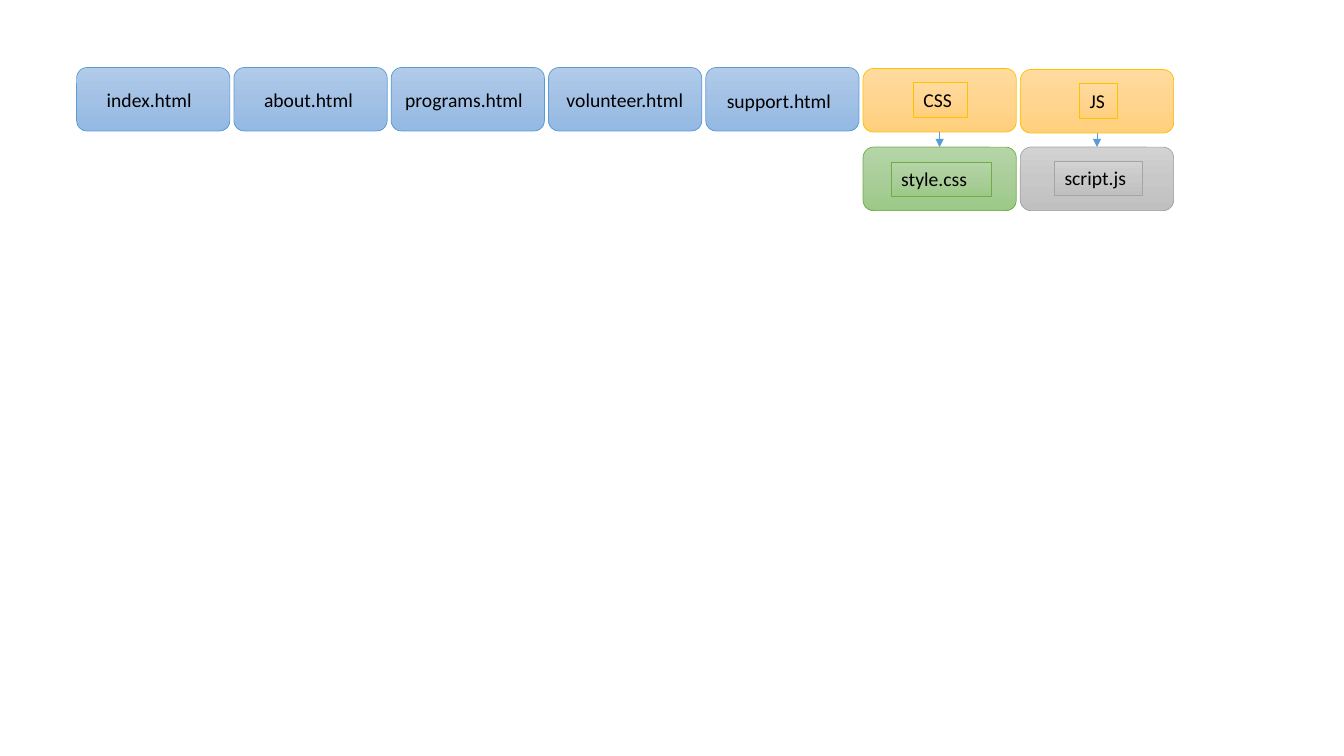
import copy

import pptx
import pptx.dml.color
import pptx.enum.shapes
import pptx.enum.text
import pptx.oxml
import pptx.oxml.ns
import pptx.util
from pptx.util import Inches

COLORS = {
    "text": "000000",
    "arrow": "5B9BD5",
    "blue": ("B1CBE9", "A3C1E5", "93B9E4", "5B9BD5"),
    "gold": ("FFDB9E", "FFD590", "FFD07C", "FFC000"),
    "green": ("B5D5A7", "AACE9A", "9CC987", "70AD47"),
    "gray": ("D2D2D2", "C8C8C8", "C0C0C0", "A5A5A5"),
}
SHAPES = pptx.enum.shapes.MSO_SHAPE
FIRST_LEFT, PITCH = 0.76, 1.56
TILE_WIDTH, TILE_HEIGHT, LABEL_HEIGHT = 1.52, 0.63, 0.34
LOWER_TOP = 1.46

PAGES = [
    ("index.html", 0.96, 0.82, 1.07),
    ("about.html", 2.52, 0.82, 1.11),
    ("programs.html", 3.92, 0.82, 1.45),
    ("volunteer.html", 5.52, 0.82, 1.52),
    ("support.html", 7.11, 0.83, 1.42),
]
ASSETS = [
    (5, 0.68, "gold", ("CSS", 9.06, 0.82, 0.54)),
    (6, 0.69, "gold", ("JS", 10.71, 0.83, 0.37)),
    (5, LOWER_TOP, "green", ("style.css", 8.84, 1.61, 0.99)),
    (6, LOWER_TOP, "gray", ("script.js", 10.46, 1.6, 0.87)),
]


def rgb(value):
    return pptx.dml.color.RGBColor.from_string(value)


def apply(target, values):
    for name, value in values.items():
        setattr(target, name, value)


def tile_left(column):
    return FIRST_LEFT + PITCH * column


def add_shaded(canvas, kind, left, top, width, height, theme):
    shape = canvas.add_shape(kind, *map(Inches, (left, top, width, height)))
    shape.shadow.inherit = False
    *shades, outline = COLORS[theme]
    shape.fill.gradient()
    shape.fill.gradient_angle = 270
    first_stop = shape.element.spPr.find(".//" + pptx.oxml.ns.qn("a:gs"))
    first_stop.addnext(copy.deepcopy(first_stop))
    for stop, shade, position in zip(shape.fill.gradient_stops, shades, (0, 0.5, 1)):
        stop.color.rgb = rgb(shade)
        stop.position = position
    shape.line.color.rgb = rgb(outline)
    shape.line.width = pptx.util.Pt(0.5)
    return shape


def add_tile(canvas, column, top, theme):
    add_shaded(canvas, SHAPES.ROUNDED_RECTANGLE, tile_left(column), top,
               TILE_WIDTH, TILE_HEIGHT, theme)


def write_label(box, text):
    apply(box.text_frame, {
        "word_wrap": True,
        "auto_size": pptx.enum.text.MSO_AUTO_SIZE.SHAPE_TO_FIT_TEXT,
        "vertical_anchor": pptx.enum.text.MSO_ANCHOR.TOP,
    })
    para = box.text_frame.paragraphs[0]
    para.alignment = pptx.enum.text.PP_ALIGN.LEFT
    span = para.add_run()
    span.text = text
    apply(span.font, {"name": "Calibri", "size": pptx.util.Pt(14)})
    span.font.color.rgb = rgb(COLORS["text"])


def add_page_label(canvas, text, left, top, width):
    box = canvas.add_textbox(*map(Inches, (left, top, width, LABEL_HEIGHT)))
    write_label(box, text)


def add_framed_label(canvas, theme, text, left, top, width):
    box = add_shaded(canvas, SHAPES.RECTANGLE, left, top, width, LABEL_HEIGHT, theme)
    write_label(box, text)


def add_down_arrow(canvas, column, top):
    center = tile_left(column) + TILE_WIDTH / 2
    arrow = canvas.add_connector(
        pptx.enum.shapes.MSO_CONNECTOR.STRAIGHT,
        *map(Inches, (center, top, center, LOWER_TOP)))
    arrow.line.color.rgb = rgb(COLORS["arrow"])
    arrow.line.width = pptx.util.Pt(0.5)
    namespace = pptx.oxml.ns.nsdecls("a")
    arrow.line.color
    properties = arrow._element.spPr
    outline = properties.find(pptx.oxml.ns.qn("a:ln"))
    outline.append(pptx.oxml.parse_xml(f'<a:tailEnd {namespace} type="triangle"/>'))
    properties.append(pptx.oxml.parse_xml(f"<a:effectLst {namespace}/>"))


def main():
    deck = pptx.Presentation()
    apply(deck, {"slide_width": Inches(13.33), "slide_height": Inches(7.5)})
    page = deck.slides.add_slide(deck.slide_layouts[6])
    canvas = page.shapes.add_group_shape().shapes
    for column, label in enumerate(PAGES):
        add_tile(canvas, column, 0.67, "blue")
        add_page_label(canvas, *label)
    for column, top, theme, label in ASSETS:
        add_tile(canvas, column, top, theme)
        add_framed_label(canvas, theme, *label)
        if top < LOWER_TOP:
            add_down_arrow(canvas, column, top + TILE_HEIGHT)
    deck.save("out.pptx")


main()
